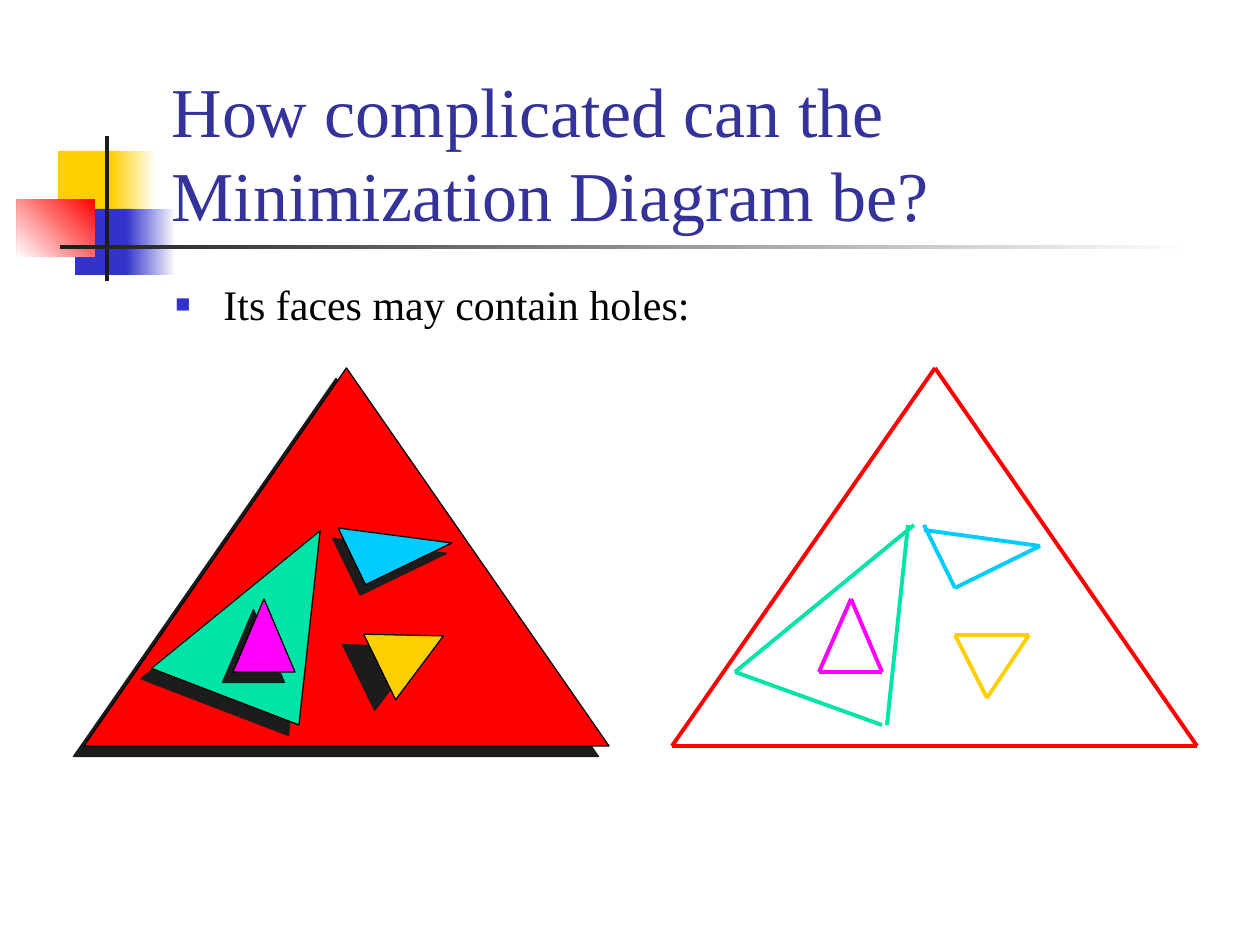
from lxml.etree import SubElement
from pptx import Presentation
from pptx.dml.color import RGBColor
from pptx.enum.shapes import MSO_CONNECTOR, MSO_SHAPE
from pptx.enum.text import MSO_ANCHOR, MSO_AUTO_SIZE, PP_ALIGN
from pptx.oxml.ns import qn
from pptx.util import Emu, Pt

PX = 914400 / 126
FONT = "Times New Roman"

BLACK = RGBColor(0x00, 0x00, 0x00)
WHITE = RGBColor(0xFF, 0xFF, 0xFF)
CHARCOAL = RGBColor(0x1C, 0x1C, 0x1C)
NAVY = RGBColor(0x33, 0x33, 0x99)
BLUE = RGBColor(0x33, 0x33, 0xCC)
RED = RGBColor(0xFF, 0x00, 0x00)
GREEN = RGBColor(0x00, 0xE4, 0xA8)
YELLOW = RGBColor(0xFF, 0xCF, 0x01)
CYAN = RGBColor(0x00, 0xCC, 0xFF)
MAGENTA = RGBColor(0xFF, 0x00, 0xFF)

TITLE = "How complicated can the Minimization Diagram be?"
TITLE_BOX = (159, 84, 1074, 158)
BULLET = "Its faces may contain holes:"
BULLET_BOX = (163, 278, 562, 79)

# box, colours (two make a gradient), counter-clockwise gradient angle
DECORATION = [
    ((58, 151, 60, 66), [YELLOW], None),
    ((111, 151, 45, 66), [WHITE, YELLOW], 180),
    ((75, 209, 58, 66), [BLUE], None),
    ((126, 209, 50, 66), [WHITE, BLUE], 180),
    ((17, 199, 78, 58), [RED, WHITE], 225),
    ((105, 136, 4, 145), [CHARCOAL], None),
    ((60, 245, 1134, 4), [WHITE, CHARCOAL], 180),
]

# box, rotation, apex position, colour, shadow distance (pt), shadow angle
FACES = [
    ((84, 368, 525, 378), 0, 0.5, RED, 8.5, 135),
    ((180, 514, 158, 189), 21, 0.685, GREEN, 8.5, 135),
    ((375, 616, 73, 71), 64, 0.5, YELLOW, 13.4, 153),
    ((347, 504, 96, 63), 334.2, 0, CYAN, 6.7, 117),
    ((233, 599, 62, 73), 0, 0.5, MAGENTA, 8.5, 135),
]

# colour, edges as (x1, y1, x2, y2)
OUTLINES = [
    (RED, [(672, 746, 935, 368), (935, 368, 1197, 746), (672, 746, 1197, 746)]),
    (CYAN, [(924, 530, 1040, 546), (924, 525, 955, 588), (955, 588, 1040, 546)]),
    (YELLOW, [(955, 635, 987, 698), (955, 635, 1029, 635), (1029, 635, 987, 698)]),
    (GREEN, [(735, 672, 914, 525), (735, 672, 882, 725), (887, 725, 908, 525)]),
    (MAGENTA, [(819, 672, 882, 672), (851, 599, 882, 672), (851, 599, 819, 672)]),
]


def emu(lengths):
    return [Emu(round(length * PX)) for length in lengths]


def add_decoration(page, box, colours, angle):
    shape = page.shapes.add_shape(MSO_SHAPE.RECTANGLE, *emu(box))
    shape.shadow.inherit = False
    shape.line.fill.background()
    if angle is None:
        shape.fill.solid()
        shape.fill.fore_color.rgb = colours[0]
        return
    shape.fill.gradient()
    shape.fill.gradient_angle = angle
    for stop, colour in zip(shape.fill.gradient_stops, colours):
        stop.color.rgb = colour


def add_face(group, box, rotation, apex, colour, distance, angle):
    face = group.shapes.add_shape(MSO_SHAPE.ISOSCELES_TRIANGLE, *emu(box))
    face.rotation = rotation
    face.adjustments[0] = apex
    face.fill.solid()
    face.fill.fore_color.rgb = colour
    face.line.color.rgb = BLACK
    face.line.width = Pt(0.75)
    face.shadow.inherit = False
    effects = face.element.spPr.find(qn("a:effectLst"))
    shadow = SubElement(effects, qn("a:outerShdw"), dist=str(int(Pt(distance))),
                        dir=str(angle * 60000), algn="ctr", rotWithShape="0")
    SubElement(shadow, qn("a:srgbClr"), val=str(CHARCOAL))


def add_edge(group, ends, colour):
    edge = group.shapes.add_connector(MSO_CONNECTOR.STRAIGHT, *emu(ends))
    edge.line.color.rgb = colour
    edge.line.width = Pt(2.25)
    SubElement(edge.element.spPr, qn("a:effectLst"))


def set_text(box, text, size, colour, anchor):
    frame = box.text_frame
    frame.text = text
    frame.word_wrap = True
    frame.auto_size = MSO_AUTO_SIZE.NONE
    frame.vertical_anchor = anchor
    para = frame.paragraphs[0]
    para.alignment = PP_ALIGN.LEFT
    font = para.runs[0].font
    font.name = FONT
    font.size = Pt(size)
    font.color.rgb = colour
    return para


def add_square_bullet(para):
    props = para._p.get_or_add_pPr()
    indent = round(48 * PX)
    props.set("marL", str(indent))
    props.set("indent", str(-indent))
    colour = SubElement(props, qn("a:buClr"))
    SubElement(colour, qn("a:srgbClr"), val=str(BLUE))
    SubElement(props, qn("a:buSzPct"), val="60000")
    SubElement(props, qn("a:buFont"), typeface=FONT)
    SubElement(props, qn("a:buChar"), char="■")


def main():
    deck = Presentation()
    deck.slide_width, deck.slide_height = emu((1260, 945))
    page = deck.slides.add_slide(deck.slide_layouts[5])

    for item in DECORATION:
        add_decoration(page, *item)

    title = page.shapes.title
    title.left, title.top, title.width, title.height = emu(TITLE_BOX)
    set_text(title, TITLE, 40, NAVY, MSO_ANCHOR.BOTTOM)
    title.element.getparent().append(title.element)  # in front of the decoration

    body = page.shapes.add_textbox(*emu(BULLET_BOX))
    para = set_text(body, BULLET, 24, BLACK, MSO_ANCHOR.TOP)
    para.line_spacing = 0.9
    para.space_before = Pt(6)
    add_square_bullet(para)

    faces = page.shapes.add_group_shape()
    for item in FACES:
        add_face(faces, *item)

    diagram = page.shapes.add_group_shape()
    for colour, edges in OUTLINES:
        for ends in edges:
            add_edge(diagram, ends, colour)

    deck.save("out.pptx")


if __name__ == "__main__":
    main()
